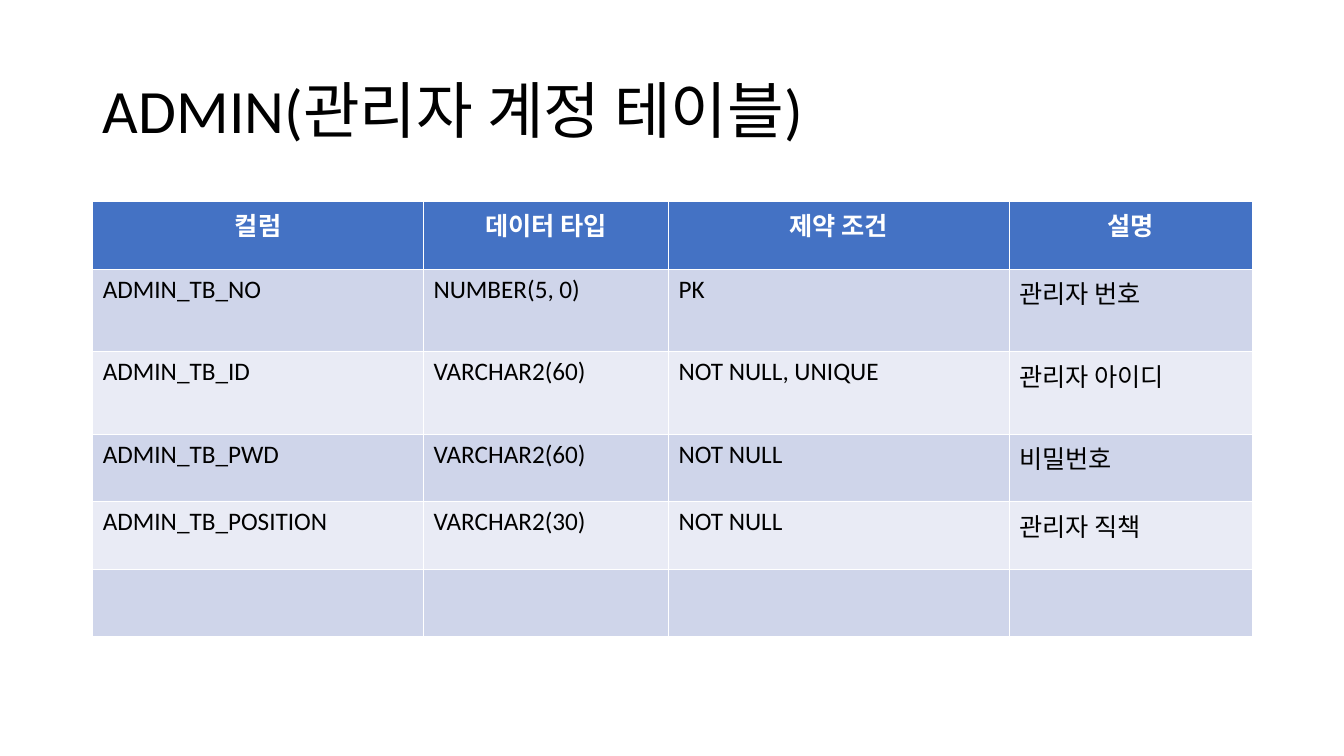
import pptx
import pptx.util
import pptx.dml.color
import pptx.enum.text

Inches, Pt = pptx.util.Inches, pptx.util.Pt
PP_ALIGN = pptx.enum.text.PP_ALIGN


def rgb(value):
    return pptx.dml.color.RGBColor.from_string(value)


def add_run(p, text, size, color, bold=False):
    r = p.add_run()
    r.text = text
    r.font.name = "Calibri"
    r.font.size = Pt(size)
    r.font.bold = bold
    r.font.color.rgb = rgb(color)


prs = pptx.Presentation()
prs.slide_width, prs.slide_height = Inches(13.33), Inches(7.5)
s = prs.slides.add_slide(prs.slide_layouts[5])

# Title
title = s.shapes.title
title.left, title.top = Inches(0.92), Inches(0.4)
title.width, title.height = Inches(11.5), Inches(1.45)
tf = title.text_frame
tf.word_wrap = True
tf.auto_size = pptx.enum.text.MSO_AUTO_SIZE.NONE
tf.vertical_anchor = pptx.enum.text.MSO_ANCHOR.MIDDLE
p = tf.paragraphs[0]
p.alignment = PP_ALIGN.LEFT
p.line_spacing = 0.9
add_run(p, "ADMIN(관리자 계정 테이블)", 44, "000000")

# Column definitions, with a spare last row
rows = [
    ("컬럼", "데이터 타입", "제약 조건", "설명"),
    ("ADMIN_TB_NO", "NUMBER(5, 0)", "PK", "관리자 번호"),
    ("ADMIN_TB_ID", "VARCHAR2(60)", "NOT NULL, UNIQUE", "관리자 아이디"),
    ("ADMIN_TB_PWD", "VARCHAR2(60)", "NOT NULL", "비밀번호"),
    ("ADMIN_TB_POSITION", "VARCHAR2(30)", "NOT NULL", "관리자 직책"),
    ("", "", "", ""),
]
widths = [3.28, 2.43, 3.38, 2.41]
heights = [0.67, 0.82, 0.82, 0.67, 0.67, 0.67]

# Table: the default style supplies the white cell borders
table = s.shapes.add_table(len(rows), len(widths), Inches(0.92), Inches(2),
                           Inches(sum(widths)), Inches(sum(heights))).table
for column, width in zip(table.columns, widths):
    column.width = Inches(width)
for i, (row, height) in enumerate(zip(rows, heights)):
    table.rows[i].height = Inches(height)
    header = i == 0
    fill = "4472C4" if header else ("CFD5EA" if i % 2 else "E9EBF5")
    for j, text in enumerate(row):
        cell = table.cell(i, j)
        cell.fill.solid()
        cell.fill.fore_color.rgb = rgb(fill)
        p = cell.text_frame.paragraphs[0]
        p.alignment = PP_ALIGN.CENTER if header else PP_ALIGN.LEFT
        if text:
            add_run(p, text, 18, "FFFFFF" if header else "000000", header)

prs.save("out.pptx")
